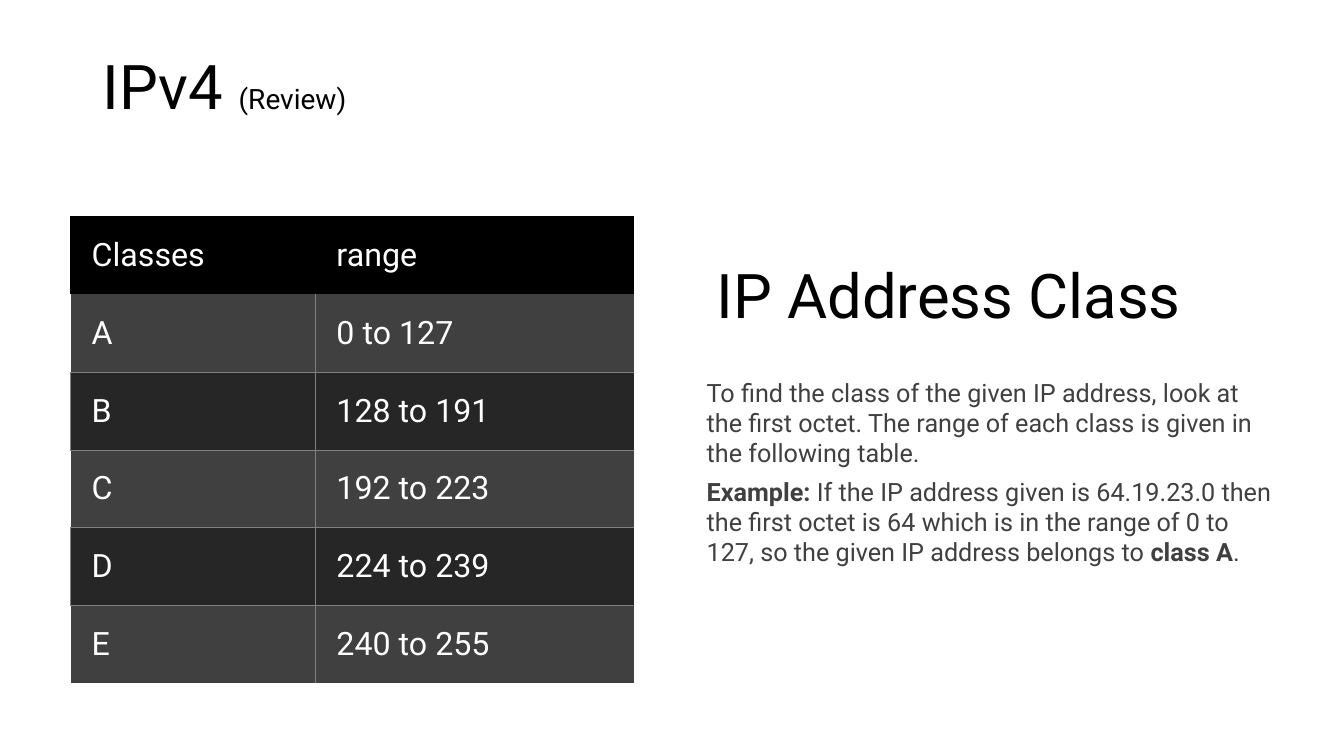
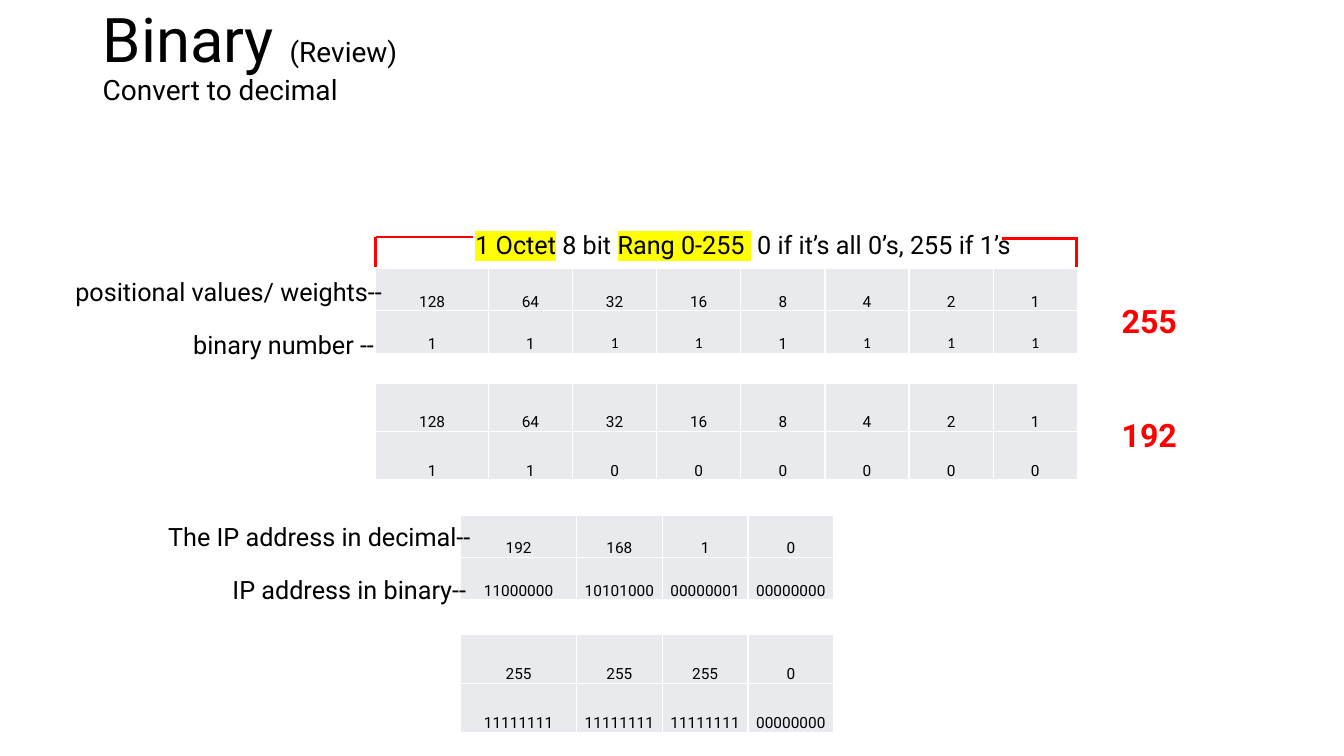
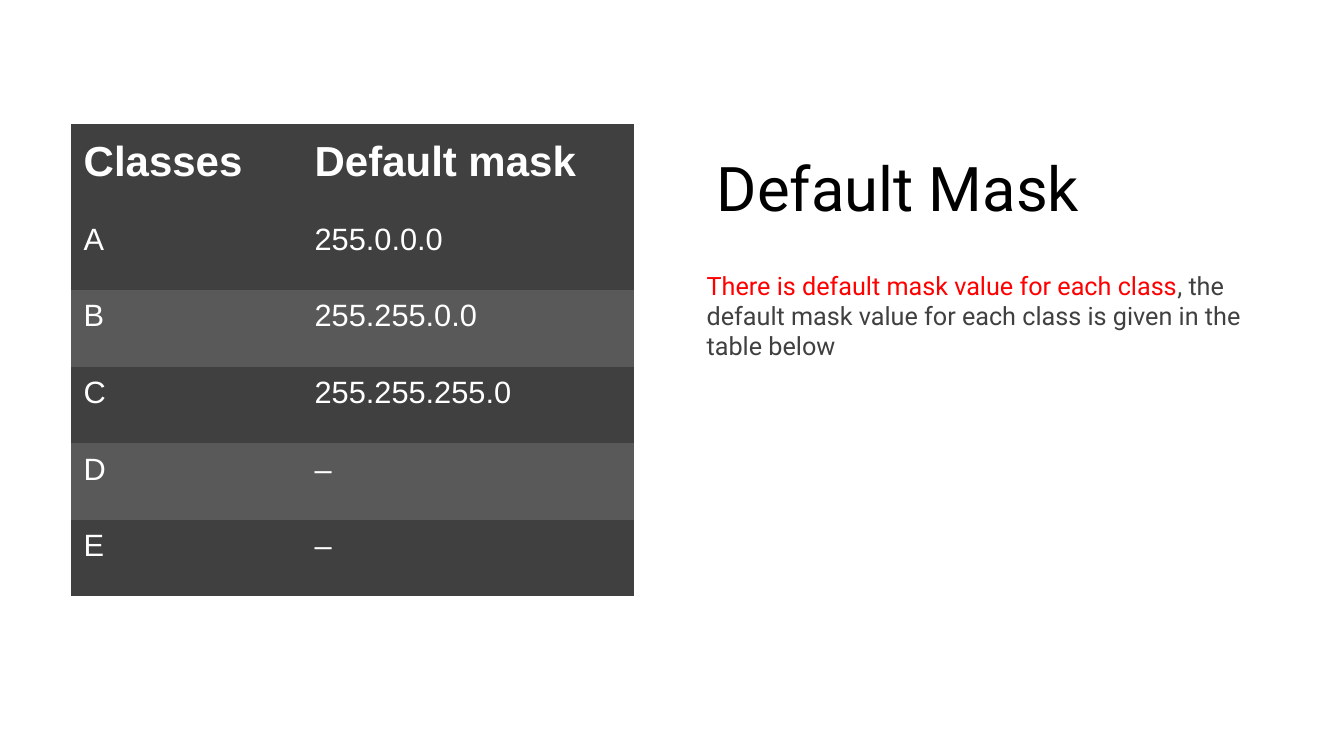
from lxml.etree import SubElement
from pptx import Presentation
from pptx.dml.color import RGBColor
from pptx.enum.shapes import MSO_CONNECTOR
from pptx.enum.text import MSO_ANCHOR, PP_ALIGN
from pptx.oxml.ns import qn
from pptx.util import Cm, Pt

COLORS = {
    "black": "000000",
    "white": "FFFFFF",
    "charcoal": "262626",
    "dark": "404040",
    "slate": "595959",
    "line": "808080",
    "cell": "E8EAED",
    "red": "FF0000",
    "yellow": "FFFF00",
}
NO_TABLE_STYLE = "{2D5ABB26-0587-4C30-8999-92F81FD0307C}"
COLUMN_LEFT, COLUMN_WIDTH = 17.81, 14.25
TABLE_LEFT = 1.78


class Deck:
    font_name = "Roboto"
    title_size = 44
    subtitle_size = 20
    text_size = 18

    def __init__(self):
        self.presentation = Presentation()
        self.presentation.slide_width = Cm(33.87)
        self.presentation.slide_height = Cm(19.05)
        self.slide = None

    def new_slide(self):
        self.slide = self.presentation.slides.add_slide(self.presentation.slide_layouts[6])

    def set_font(self, font, size=None, color=None, bold=None, name=None):
        if size:
            font.size = Pt(size)
        if bold is not None:
            font.bold = bold
        if color:
            font.color.rgb = RGBColor.from_string(COLORS[color])
        if name:
            font.name = name

    def fill_paragraph(self, paragraph, runs, size, color="black", bold=False, name=None):
        for content in [runs] if isinstance(runs, str) else runs:
            text, changes = (content, {}) if isinstance(content, str) else content
            run = paragraph.add_run()
            run.text = text
            changes = dict(changes)
            highlight = changes.pop("highlight", None)
            self.set_font(run.font, **changes)
            if highlight:
                mark = SubElement(run.font._element, qn("a:highlight"))
                SubElement(mark, qn("a:srgbClr"), val=COLORS[highlight])
        self.set_font(paragraph.font, size, color, bold, name or self.font_name)

    def text(self, left, top, width, height, paragraphs, size=text_size, color="black",
             bold=False, align=PP_ALIGN.LEFT, anchor=MSO_ANCHOR.TOP, side_inset=0.25,
             space_after=0, line_spacing=1.0):
        box = self.slide.shapes.add_textbox(Cm(left), Cm(top), Cm(width), Cm(height))
        frame = box.text_frame
        frame.word_wrap = True
        frame.vertical_anchor = anchor
        frame.margin_left = frame.margin_right = Cm(side_inset)
        for index, runs in enumerate(paragraphs):
            paragraph = frame.add_paragraph() if index else frame.paragraphs[0]
            paragraph.alignment = align
            paragraph.space_after = Pt(space_after)
            paragraph.line_spacing = line_spacing
            self.fill_paragraph(paragraph, runs, size, color, bold)

    def review_title(self, top, title, subtitle=None):
        small = {"size": self.subtitle_size}
        lines = [[title + " ", ("(Review)", small)]]
        if subtitle:
            lines.append([(subtitle, small)])
        self.text(2.34, top, 29.95, 3.68, lines, self.title_size,
                  anchor=MSO_ANCHOR.MIDDLE, line_spacing=0.9)

    def topic(self, top, title, paragraphs):
        self.text(COLUMN_LEFT, top, COLUMN_WIDTH, 4.04, [title], self.title_size,
                  anchor=MSO_ANCHOR.BOTTOM, line_spacing=0.9)
        self.text(COLUMN_LEFT, top + 4.93, COLUMN_WIDTH, 9.63, paragraphs,
                  color="dark", side_inset=0, space_after=6)

    def label(self, left, top, width, runs):
        self.text(left, top, width, 1.02, [runs])

    def result(self, top, value):
        self.text(27.15, top, 3.63, 1.24, [value], 23, "red", True, PP_ALIGN.CENTER)

    def line(self, start_x, start_y, end_x, end_y):
        connector = self.slide.shapes.add_connector(
            MSO_CONNECTOR.STRAIGHT, Cm(start_x), Cm(start_y), Cm(end_x), Cm(end_y))
        connector.line.color.rgb = RGBColor.from_string(COLORS["red"])
        connector.line.width = Pt(2)
        SubElement(connector._element.spPr, qn("a:effectLst"))

    def table(self, left, top, widths, heights, rows, style):
        table = self.slide.shapes.add_table(
            len(rows), len(widths), Cm(left), Cm(top), Cm(sum(widths)), Cm(sum(heights))).table
        table.first_row = table.horz_banding = False
        table._tbl.tblPr.find(qn("a:tableStyleId")).text = NO_TABLE_STYLE
        for column, width in zip(table.columns, widths):
            column.width = Cm(width)
        for row, height in zip(table.rows, heights):
            row.height = Cm(height)
        for row_index, values in enumerate(rows):
            for column_index, value in enumerate(values):
                self.cell(table.cell(row_index, column_index), value,
                          **style(row_index, column_index))

    def cell(self, cell, value, fill, borders, insets, anchor, size, color="white",
             bold=False, name=None, align=PP_ALIGN.LEFT):
        cell.margin_left, cell.margin_top, cell.margin_right, cell.margin_bottom = map(Cm, insets)
        cell.vertical_anchor = anchor
        properties = cell._tc.get_or_add_tcPr()
        for side in "LRTB":
            if side in borders:
                border_color, width = borders[side]
                border = SubElement(properties, qn("a:ln" + side), w=str(Pt(width)))
                solid = SubElement(border, qn("a:solidFill"))
                SubElement(solid, qn("a:srgbClr"), val=COLORS[border_color])
        cell.fill.solid()
        cell.fill.fore_color.rgb = RGBColor.from_string(COLORS[fill])
        paragraph = cell.text_frame.paragraphs[0]
        paragraph.alignment = align
        self.fill_paragraph(paragraph, value, size, color, bold, name)


def class_style(row, column):
    if row == 0:
        fill = "black"
        borders = dict.fromkeys("T" if column else "LT", ("black", 1.5))
    else:
        fill = "dark" if row % 2 else "charcoal"
        sides = "L" if column else "R"
        if row % 2 == 0:
            sides += "T" if column else "LT"
        elif row < 5:
            sides += "B"
        borders = dict.fromkeys(sides, ("line", 0.5))
    return dict(fill=fill, borders=borders, insets=(0.53, 0.41, 0.43, 0.41),
                anchor=MSO_ANCHOR.MIDDLE, size=23)


def mask_style(row, column):
    header = row == 0
    return dict(fill="slate" if row and row % 2 == 0 else "dark",
                borders={} if header or column else {"L": ("white", 1)},
                insets=(0.33, 0.1, 0.89, 0.71),
                anchor=MSO_ANCHOR.BOTTOM if header else MSO_ANCHOR.MIDDLE,
                size=30 if header else 22, bold=header, name="Arial")


def binary_style(row, column):
    return dict(fill="cell", borders=dict.fromkeys("LRTB", ("white", 1)),
                insets=(0.03, 0.03, 0.03, 0), anchor=MSO_ANCHOR.BOTTOM,
                size=11, color="black", align=PP_ALIGN.CENTER)


def all_ones_style(row, column):
    style = binary_style(row, column)
    if row == 1 and column in (2, 3, 5, 6, 7):
        style["name"] = "Calibri"
    return style


def build_classes(deck):
    deck.new_slide()
    strong = {"bold": True}
    deck.topic(4.45, "IP Address Class", [
        "To find the class of the given IP address, look at the first octet. "
        "The range of each class is given in the following table.",
        [("Example:", strong),
         " If the IP address given is 64.19.23.0 then the first octet is 64 which is in "
         "the range of 0 to 127, so the given IP address belongs to ",
         ("class A", strong), "."],
    ])
    ranges = ["0 to 127", "128 to 191", "192 to 223", "224 to 239", "240 to 255"]
    deck.table(TABLE_LEFT, 5.46, [6.17, 8.03], [1.96] * 6,
               [("Classes", "range"), *zip("ABCDE", ranges)], class_style)
    deck.review_title(0.41, "IPv4")


def build_binary(deck):
    deck.new_slide()
    deck.review_title(-0.38, "Binary", "Convert to decimal")

    octet_left, address_left = 9.47, 11.61
    octet_widths = [2.84] + [2.12] * 7
    address_widths = [2.92] + [2.16] * 3
    weights = [str(2 ** power) for power in range(7, -1, -1)]
    for top, height, value, style in ((6.76, 1.07, 255, all_ones_style),
                                      (9.65, 1.22, 192, binary_style)):
        deck.table(octet_left, top, octet_widths, [height] * 2,
                   [weights, list(f"{value:08b}")], style)
        deck.result(top + 0.7, str(value))
    for top, height, address in ((12.98, 1.07, (192, 168, 1, 0)),
                                 (15.98, 1.24, (255, 255, 255, 0))):
        deck.table(address_left, top, address_widths, [height] * 2,
                   [[str(octet) for octet in address],
                    [f"{octet:08b}" for octet in address]], binary_style)

    deck.label(4.62, 8.18, 8.71, "binary number --")
    deck.label(1.65, 6.83, 8.38, "positional values/ weights--")
    marked = {"highlight": "yellow"}
    deck.label(11.73, 5.66, 14.63, [
        ("1 Octet", marked), " 8 bit ", ("Rang 0-255 ", marked),
        " 0 if it’s all 0’s, 255 if 1’s"])
    deck.label(3.99, 13.0, 9.75, "The IP address in decimal--")
    deck.label(5.61, 14.35, 8.71, "IP address in binary--")

    bracket_top = 5.97
    deck.line(11.91, bracket_top, octet_left, bracket_top)
    deck.line(27.15, 6.02, 25.25, 6.02)
    for x in (octet_left, 27.13):
        deck.line(x, 6.72, x, bracket_top)


def build_masks(deck):
    deck.new_slide()
    deck.topic(1.75, "Default Mask", [
        [("There is default mask value for each class", {"color": "red"}),
         ", the default mask value for each class is given in the table below"],
    ])
    masks = ["255.0.0.0", "255.255.0.0", "255.255.255.0", "–", "–"]
    deck.table(TABLE_LEFT, 3.12, [5.82, 8.38], [2.26] + [1.93] * 5,
               [("Classes", "Default mask"), *zip("ABCDE", masks)], mask_style)


def main():
    deck = Deck()
    build_classes(deck)
    build_binary(deck)
    build_masks(deck)
    deck.presentation.save("out.pptx")


if __name__ == "__main__":
    main()
